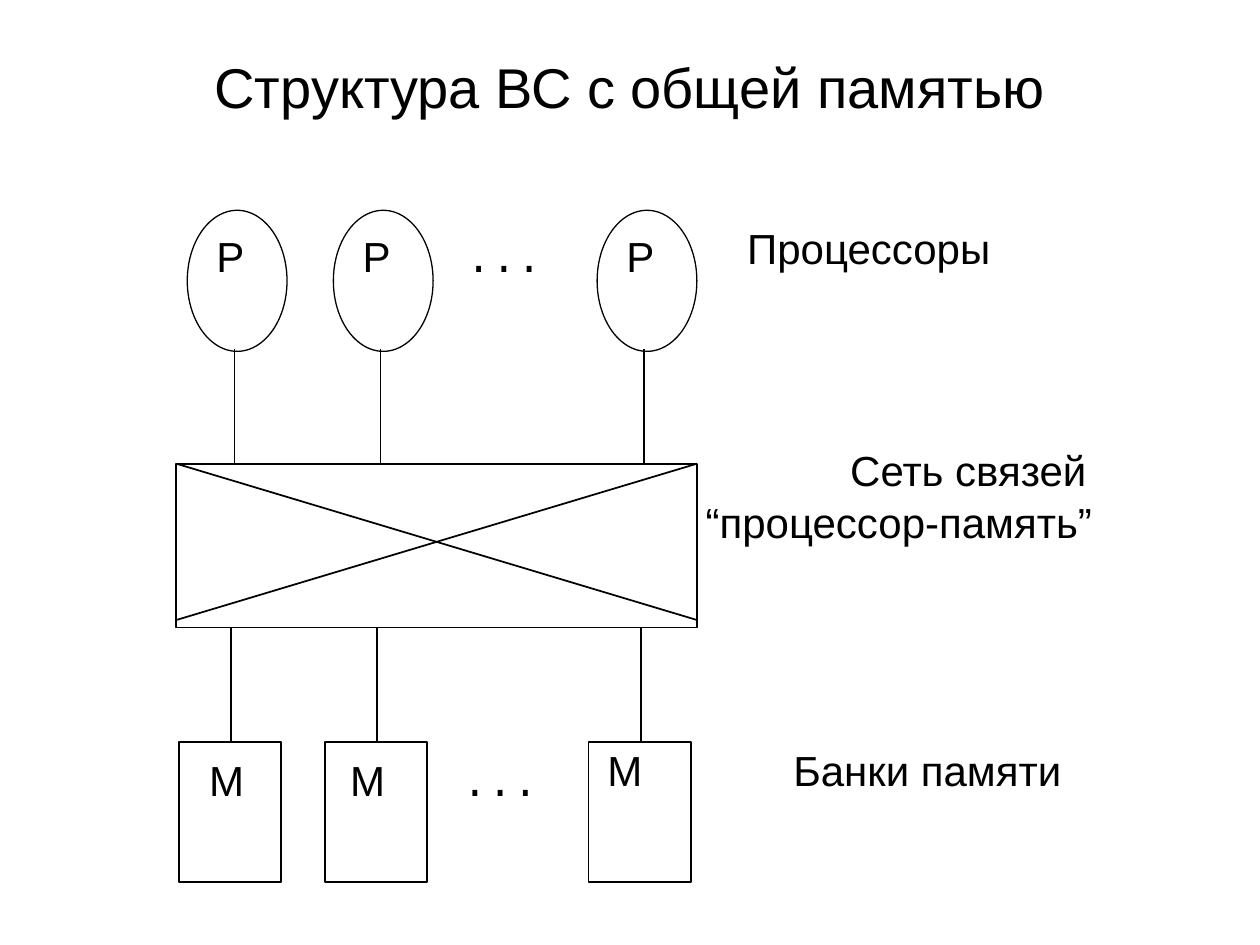
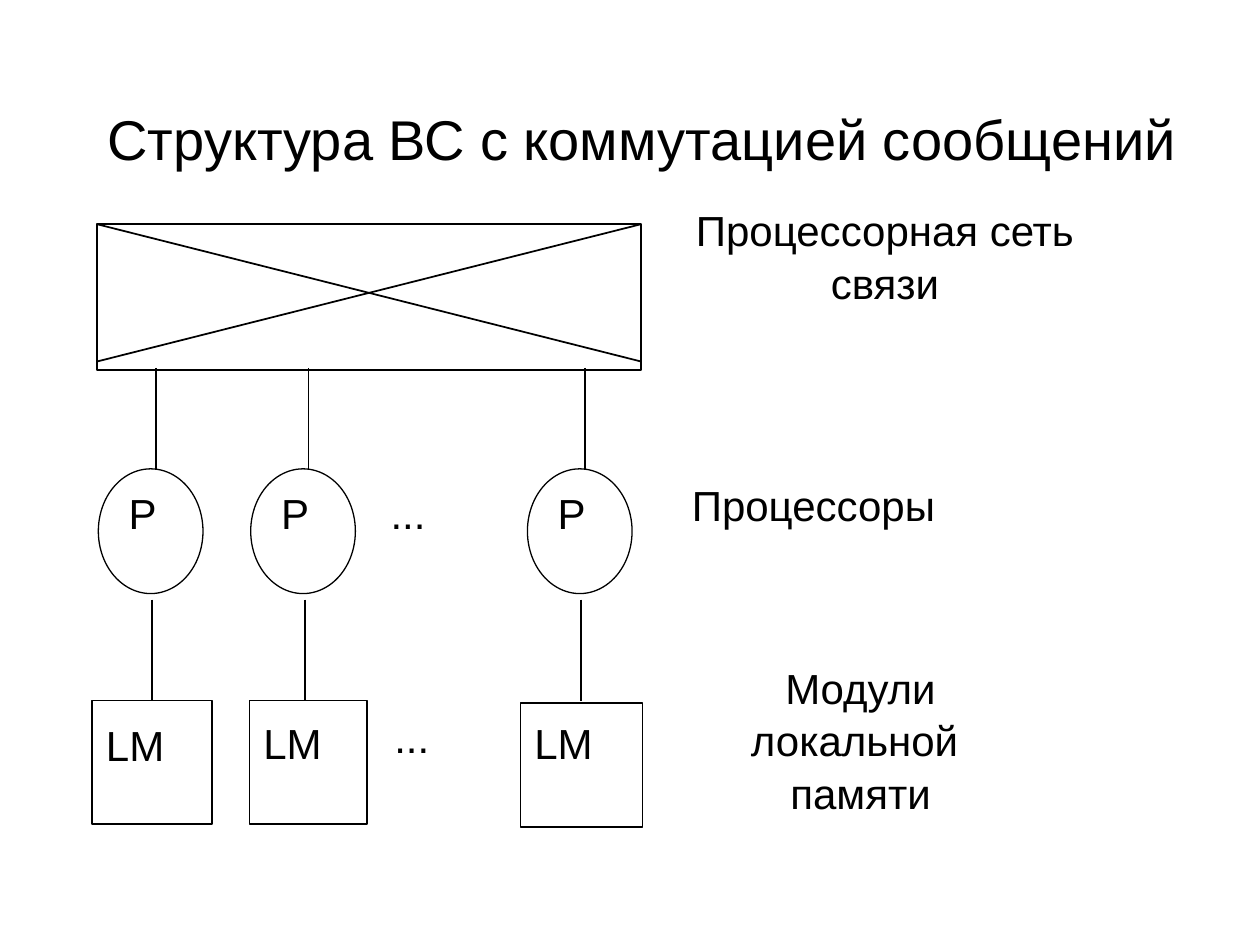
from lxml import etree
from pptx import Presentation
from pptx.dml.color import RGBColor
from pptx.enum.shapes import MSO_CONNECTOR as Connector, MSO_SHAPE as Shape
from pptx.enum.text import MSO_ANCHOR as Anchor, MSO_AUTO_SIZE as AutoSize, PP_ALIGN as Align
from pptx.oxml.ns import qn
from pptx.util import Pt

BLACK = RGBColor(0, 0, 0)
WHITE = RGBColor(255, 255, 255)
FONT = "Arial"
DOTS_FONT = "Courier New"
LABEL_SIZE = 24
TITLE_SIZE = 32
LINE_SPACING = 1.04


def write_lines(frame, lines, size, align, font=FONT):
    frame.word_wrap = True
    frame.auto_size = AutoSize.NONE
    for index, line in enumerate(lines):
        paragraph = frame.paragraphs[0] if index == 0 else frame.add_paragraph()
        paragraph.alignment = align
        paragraph.line_spacing = LINE_SPACING
        for part_index, part in enumerate(line.split("\n")):
            if part_index:
                paragraph.add_line_break()
            run = paragraph.add_run()
            run.text = part
            run.font.name = font
            run.font.size = Pt(size)
            run.font.color.rgb = BLACK


def set_insets(frame, inset):
    frame.margin_left = frame.margin_right = Pt(inset)
    frame.margin_top = frame.margin_bottom = Pt(inset)


def add_title_slide(deck, title, left, top, width, height, anchor, inset):
    slide = deck.slides.add_slide(deck.slide_layouts[5])
    slide.background.fill.solid()
    slide.background.fill.fore_color.rgb = WHITE
    heading = slide.shapes.title
    heading.left, heading.top = Pt(left), Pt(top)
    heading.width, heading.height = Pt(width), Pt(height)
    heading.text_frame.vertical_anchor = anchor
    set_insets(heading.text_frame, inset)
    write_lines(heading.text_frame, [title], TITLE_SIZE, Align.CENTER)
    return slide


def add_label(slide, lines, left, top, width, height, align=Align.LEFT, font=FONT):
    label = slide.shapes.add_textbox(Pt(left), Pt(top), Pt(width), Pt(height))
    set_insets(label.text_frame, 0.75)
    write_lines(label.text_frame, lines, LABEL_SIZE, align, font)
    return label


def add_outline(slide, kind, left, top, width, height, weight=1):
    outline = slide.shapes.add_shape(kind, Pt(left), Pt(top), Pt(width), Pt(height))
    outline.shadow.inherit = False
    outline.fill.background()
    outline.line.color.rgb = BLACK
    outline.line.width = Pt(weight)


def add_link(slide, x1, y1, x2, y2):
    link = slide.shapes.add_connector(Connector.STRAIGHT, Pt(x1), Pt(y1), Pt(x2), Pt(y2))
    link.line.color.rgb = BLACK
    link.line.width = Pt(1)
    properties = link._element.find(qn("p:spPr"))
    etree.SubElement(properties, qn("a:effectLst"))


def add_network(slide, left, top, width, height, cross_height):
    right, cross_bottom = left + width, top + cross_height
    add_outline(slide, Shape.RECTANGLE, left, top, width, height)
    add_link(slide, left, top, right, cross_bottom)
    add_link(slide, right, top, left, cross_bottom)


def add_processor(slide, left, top, width, height, text_dx, text_dy):
    add_outline(slide, Shape.OVAL, left, top, width, height, 0.75)
    add_label(slide, ["P"], left + text_dx, top + text_dy, 53, 62)


def add_memory(slide, name, left, top, width, height, text_left, text_top):
    add_outline(slide, Shape.RECTANGLE, left, top, width, height)
    add_label(slide, [name], text_left, text_top, width, 62)


def build_shared_memory(deck):
    slide = add_title_slide(deck, "Структура ВС с общей памятью",
                            36, 21.6, 648, 53.3, Anchor.MIDDLE, 3.6)
    memory_texts = [(118.8, 429.1), (199.4, 429.1), (346.3, 423.4)]
    for shift, memory_text in zip((0, 83.5, 234.2), memory_texts):
        add_processor(slide, 107 + shift, 120.2, 57, 80.6, 16, 9.4)
        add_link(slide, 134 + shift, 199.5, 134 + shift, 265.5)
        add_link(slide, 132 + shift, 358.5, 132 + shift, 424)
        add_memory(slide, "M", 102.2 + shift, 424, 58.5, 80, *memory_text)
    add_network(slide, 100.8, 265, 297.4, 93.6, 89.3)
    for left, top in ((263.5, 429.1), (265.7, 129.6)):
        add_label(slide, ["..."], left, top, 82, 61, font=DOTS_FONT)
    add_label(slide, ["Процессоры"], 426.2, 125.3, 212, 65)
    network_label = add_label(slide, ["Сеть связей", "“процессор-память”"],
                              402.5, 252, 301.7, 145)
    network_label.text_frame.paragraphs[0].alignment = Align.CENTER
    add_label(slide, ["Банки памяти"], 423.4, 423.4, 213, 78, Align.CENTER)


def build_message_passing(deck):
    slide = add_title_slide(deck, "Структура ВС с коммутацией сообщений",
                            48.2, 57.6, 638, 58.3, Anchor.TOP, 0.75)
    modules = [(52.6, 400.3, 68.4, 409), (142.6, 400.3, 67, 408.2),
               (297.4, 401.8, 69.8, 408.2)]
    for shift, module in zip((0, 87.1, 245.2), modules):
        left, top, width, text_top = module
        add_link(slide, 89.2 + shift, 210.2, 89.2 + shift, 268.5)
        add_processor(slide, 56.2 + shift, 267.9, 59.8, 71.3, 16.6, 8.6)
        add_link(slide, 87 + shift, 342.6, 87 + shift, 400.4)
        add_memory(slide, "LM", left, top, width, 70.6, left + 7.2, text_top)
    add_network(slide, 55.4, 128.1, 311, 83.5, 78.5)
    for left, top in ((222.5, 276.5), (224.6, 404.6)):
        add_label(slide, ["..."], left, top, 86, 54)
    add_label(slide, ["Процессорная сеть связи"], 372.2, 115.2, 267, 108, Align.CENTER)
    add_label(slide, ["Процессоры"], 394.6, 272.2, 222.5, 58)
    add_label(slide, ["Модули", "локальной \nпамяти"], 378, 376.6, 227.5, 156, Align.CENTER)


def main():
    deck = Presentation()
    deck.slide_width, deck.slide_height = Pt(720), Pt(540)
    build_shared_memory(deck)
    build_message_passing(deck)
    deck.save("out.pptx")


if __name__ == "__main__":
    main()
